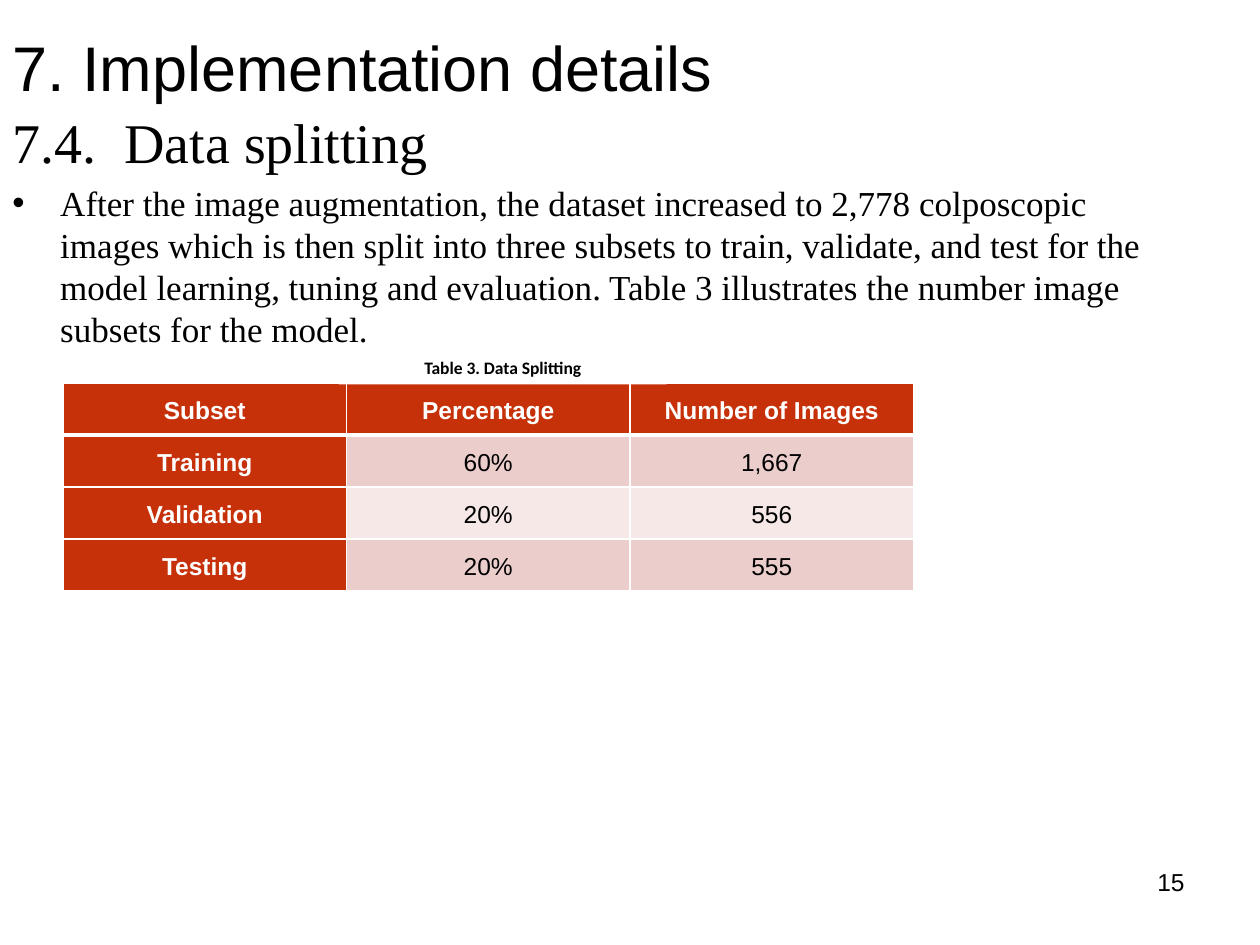
from dataclasses import dataclass

import pptx
import pptx.dml.color
import pptx.enum.shapes
import pptx.enum.text
import pptx.oxml
import pptx.oxml.ns
import pptx.util
from pptx.util import Inches, Pt

ALIGN = pptx.enum.text.PP_ALIGN
ANCHOR = pptx.enum.text.MSO_ANCHOR


@dataclass(frozen=True)
class Theme:
    black: str = "000000"
    white: str = "FFFFFF"
    red: str = "C73109"
    bands: tuple = ("EBCECC", "F5E8E7")
    sans: str = "Arial"
    serif: str = "Times New Roman"
    caption_font: str = "Calibri"
    title: int = 36
    heading: int = 32
    body: int = 20
    small: int = 14
    caption: int = 10


@dataclass(frozen=True)
class Box:
    left: float
    top: float
    width: float
    height: float

    def emu(self) -> tuple:
        return tuple(Inches(v) for v in (self.left, self.top, self.width, self.height))


@dataclass(frozen=True)
class TextStyle:
    font: str
    size: int
    color: str = "000000"
    bold: bool = False


THEME = Theme()
SPACED = {"alignment": ALIGN.CENTER, "line_spacing": 1.15, "space_after": Pt(10)}
ROWS = [
    ("Subset", "Percentage", "Number of Images"),
    ("Training", "60%", "1,667"),
    ("Validation", "20%", "556"),
    ("Testing", "20%", "555"),
]


def rgb(color: str):
    return pptx.dml.color.RGBColor.from_string(color)


def set_attrs(obj, values: dict) -> None:
    for name, value in values.items():
        setattr(obj, name, value)


def write(p, text: str, style: TextStyle, fmt: dict) -> None:
    set_attrs(p, fmt)
    r = p.add_run()
    r.text = text
    set_attrs(r.font, {"name": style.font, "size": Pt(style.size), "bold": style.bold})
    r.font.color.rgb = rgb(style.color)


def add_bullet(p, indent: float) -> None:
    pPr = p._p.get_or_add_pPr()
    pPr.set("marL", str(Inches(indent)))
    pPr.set("indent", str(-Inches(indent)))
    ns = pptx.oxml.ns.nsdecls("a")
    pPr.append(pptx.oxml.parse_xml(f'<a:buFont {ns} typeface="Arial"/>'))
    pPr.append(pptx.oxml.parse_xml(f'<a:buChar {ns} char="•"/>'))


def add_borders(cell, widths: dict) -> None:
    """Draw white cell borders; widths maps the sides L, R, T, B to points."""
    tcPr = cell._tc.get_or_add_tcPr()
    for side, width in widths.items():
        tcPr.append(pptx.oxml.parse_xml(
            f'<a:ln{side} {pptx.oxml.ns.nsdecls("a")} w="{Pt(width)}"><a:solidFill>'
            f'<a:srgbClr val="{THEME.white}"/></a:solidFill></a:ln{side}>'))


def add_title(s, text: str, box: Box) -> None:
    sp = s.shapes.title
    set_attrs(sp, dict(zip(("left", "top", "width", "height"), box.emu())))
    set_attrs(sp.text_frame, {"vertical_anchor": ANCHOR.MIDDLE, "word_wrap": True,
                              "auto_size": pptx.enum.text.MSO_AUTO_SIZE.NONE})
    write(sp.text_frame.paragraphs[0], text, TextStyle(THEME.sans, THEME.title),
          {"alignment": ALIGN.LEFT})


def add_text_box(s, box: Box):
    tf = s.shapes.add_textbox(*box.emu()).text_frame
    tf.word_wrap = True
    return tf


def add_split_table(s, box: Box) -> None:
    table = s.shapes.add_table(len(ROWS), len(ROWS[0]), *box.emu()).table
    for i, row in enumerate(ROWS):
        for j, text in enumerate(row):
            cell = table.cell(i, j)
            is_header = i == 0 or j == 0
            add_borders(cell, {"L": 1, "R": 1, "T": 3 if i == 1 else 1, "B": 3 if i == 0 else 1})
            cell.fill.solid()
            cell.fill.fore_color.rgb = rgb(THEME.red if is_header else THEME.bands[(i - 1) % 2])
            set_attrs(cell, {"vertical_anchor": ANCHOR.MIDDLE,
                             "margin_left": Inches(0.07), "margin_right": Inches(0.07),
                             "margin_top": 0, "margin_bottom": 0})
            color = THEME.white if is_header else THEME.black
            write(cell.text_frame.paragraphs[0], text,
                  TextStyle(THEME.sans, THEME.small, color, is_header), SPACED)


def add_caption(s, text: str, box: Box) -> None:
    sp = s.shapes.add_shape(pptx.enum.shapes.MSO_SHAPE.RECTANGLE, *box.emu())
    sp.shadow.inherit = False
    sp.fill.solid()
    sp.fill.fore_color.rgb = rgb(THEME.white)
    sp.line.fill.background()
    set_attrs(sp.text_frame, {"vertical_anchor": ANCHOR.TOP, "word_wrap": True})
    write(sp.text_frame.paragraphs[0], text,
          TextStyle(THEME.caption_font, THEME.caption, bold=True), SPACED)


def main() -> None:
    prs = pptx.Presentation()
    set_attrs(prs, {"slide_width": Inches(10), "slide_height": Inches(7.5)})
    s = prs.slides.add_slide(prs.slide_layouts[5])

    add_title(s, "7. Implementation details", Box(0, 0.21, 9.5, 0.64))

    tf = add_text_box(s, Box(0, 0.8, 9.5, 6.08))
    write(tf.paragraphs[0], "7.4.  Data splitting",
          TextStyle(THEME.serif, THEME.heading), {"space_before": Pt(4)})
    p = tf.add_paragraph()
    write(p, "After the image augmentation, the dataset increased to 2,778 colposcopic images "
             "which is then split into three subsets to train, validate, and test for the model "
             "learning, tuning and evaluation. Table 3 illustrates the number image subsets for "
             "the model.",
          TextStyle(THEME.serif, THEME.body), {"space_before": Pt(4)})
    add_bullet(p, 0.38)

    add_split_table(s, Box(0.5, 3.04, 6.75, 1.65))
    add_caption(s, "Table 3. Data Splitting", Box(2.69, 2.76, 2.6, 0.29))

    number = add_text_box(s, Box(7.17, 6.83, 2.33, 0.52))
    write(number.paragraphs[0], "15", TextStyle(THEME.sans, THEME.small),
          {"alignment": ALIGN.RIGHT})

    prs.save("out.pptx")


if __name__ == "__main__":
    main()
